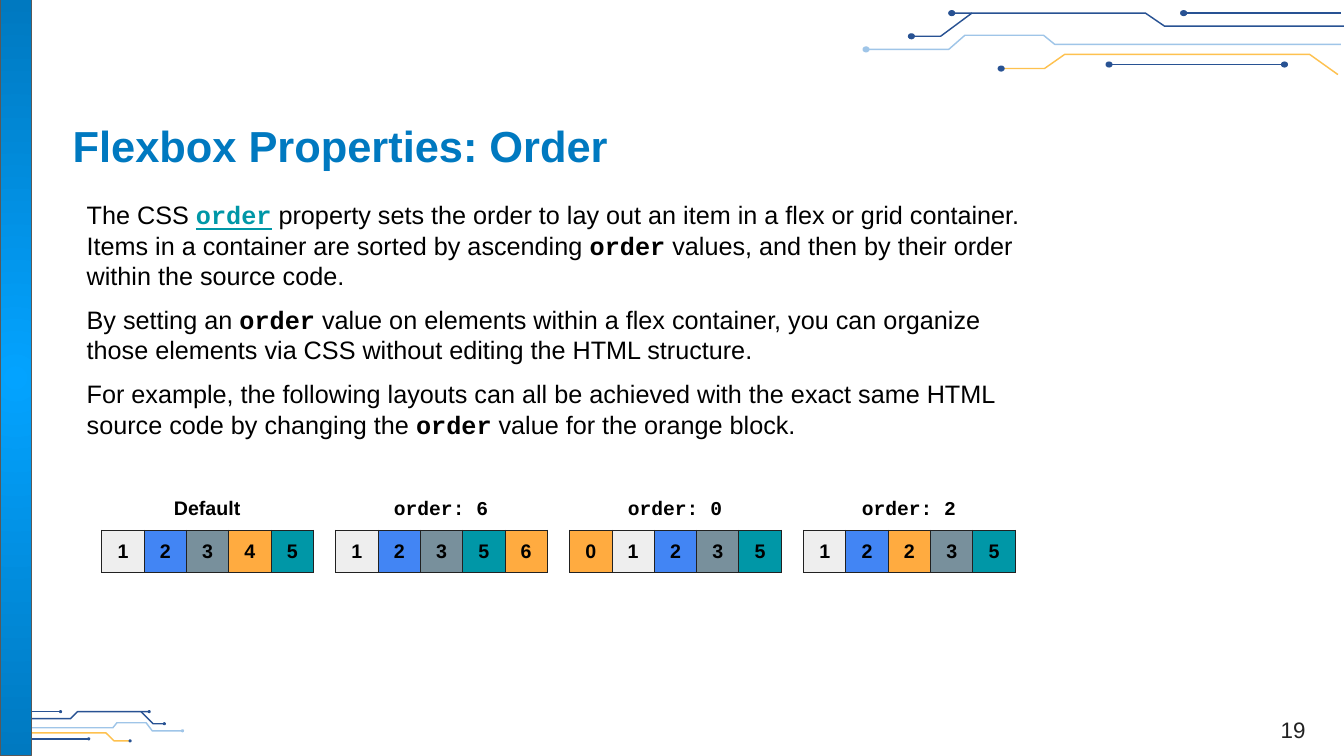
"""Build the slide that explains the flexbox order property."""
from lxml.etree import SubElement
from pptx import Presentation
from pptx.dml.color import RGBColor
from pptx.enum.shapes import MSO_CONNECTOR as Connector, MSO_SHAPE as Shape
from pptx.enum.text import MSO_ANCHOR as Anchor, MSO_AUTO_SIZE as AutoSize, PP_ALIGN as Align
from pptx.oxml.ns import qn
from pptx.util import Inches, Pt

NAVY = RGBColor(0x28, 0x52, 0x93)
SKY = RGBColor(0x9F, 0xC5, 0xE8)
YELLOW = RGBColor(0xFE, 0xC1, 0x4F)
BRIGHT_BLUE = RGBColor(0x03, 0xA3, 0xFF)
TITLE_BLUE = RGBColor(0x00, 0x79, 0xC0)
BAR_LINE = RGBColor(0x59, 0x59, 0x59)
BLACK = RGBColor(0x00, 0x00, 0x00)
CHARCOAL = RGBColor(0x22, 0x22, 0x22)
PALE_GREY = RGBColor(0xEE, 0xEE, 0xEE)
BLUE = RGBColor(0x42, 0x85, 0xF4)
SLATE = RGBColor(0x78, 0x90, 0x9C)
ORANGE = RGBColor(0xFF, 0xAB, 0x40)
TEAL = RGBColor(0x00, 0x97, 0xA7)
BORDER_HEX = "212121"
SANS, MONO = "Arial", "Courier New"

TRACES = [
    (NAVY, [(0.04, 7.13), (0.7, 7.13), (0.77, 7.06), (1.48, 7.06)]),
    (NAVY, [(1.4, 7.06), (1.52, 7.18), (1.63, 7.18)]),
    (NAVY, [(0, 7.06), (0.6, 7.06)]),
    (YELLOW, [(0.01, 7.38), (0.12, 7.27), (1.05, 7.27), (1.13, 7.35), (1.29, 7.35)]),
    (NAVY, [(0.21, 7.33), (0.88, 7.33)]),
    (SKY, [(0.08, 7.22), (1.12, 7.22), (1.16, 7.17), (1.45, 7.17), (1.51, 7.25), (1.81, 7.25)]),
    (NAVY, [(13.33, 0.26), (11.55, 0.26), (11.36, 0.13), (9.44, 0.13)]),
    (NAVY, [(9.64, 0.13), (9.33, 0.36), (9.04, 0.36)]),
    (NAVY, [(13.3, 0.13), (11.74, 0.13)]),
    (YELLOW, [(13.27, 0.74), (12.99, 0.54), (10.56, 0.54), (10.36, 0.68), (9.93, 0.68)]),
    (NAVY, [(12.74, 0.64), (11, 0.64)]),
    (SKY, [(13.3, 0.44), (10.46, 0.44), (10.35, 0.35), (9.57, 0.35), (9.41, 0.49), (8.59, 0.49)]),
]
SMALL_DOTS = [(NAVY, 1.48, 7.06), (NAVY, 1.63, 7.18), (NAVY, 0.6, 7.06), (NAVY, 1.29, 7.35),
              (NAVY, 0.21, 7.33), (NAVY, 0.88, 7.33), (SKY, 1.81, 7.25)]
LARGE_DOTS = [(SKY, 8.59, 0.49), (NAVY, 9.44, 0.13), (NAVY, 9.04, 0.36), (NAVY, 11.74, 0.13),
              (NAVY, 9.93, 0.68), (NAVY, 12.74, 0.64), (NAVY, 11, 0.64)]

BODY = [
    "The CSS `order` property sets the order to lay out an item in a flex or grid container. "
    "Items in a container are sorted by ascending `order` values, and then by their order "
    "within the source code.",
    "By setting an `order` value on elements within a flex container, you can organize "
    "those elements via CSS without editing the HTML structure.",
    "For example, the following layouts can all be achieved with the exact same HTML "
    "source code by changing the `order` value for the orange block.",
]
FIXED_BLOCKS = [(1, PALE_GREY), (2, BLUE), (3, SLATE), (5, TEAL)]
LAYOUTS = [("Default", SANS, 4), ("order: 6", MONO, 6), ("order: 0", MONO, 0), ("order: 2", MONO, 2)]


def place(shape, left, top, width, height):
    """Move and size a shape, in inches."""
    shape.left, shape.top = Inches(left), Inches(top)
    shape.width, shape.height = Inches(width), Inches(height)


def style_font(font, name, size, color, bold=False):
    """Set the face, size, colour and weight of a font."""
    font.name, font.size, font.bold = name, Pt(size), bold
    font.color.rgb = color


def set_frame(frame, anchor, vertical_margin=0.1):
    """Wrap a text frame and set its anchor and margins."""
    frame.word_wrap = True
    frame.auto_size = AutoSize.NONE
    frame.vertical_anchor = anchor
    frame.margin_left = frame.margin_right = Inches(0.1)
    frame.margin_top = frame.margin_bottom = Inches(vertical_margin)


def add_label(slide, text, box, anchor, font, vertical_margin=0.1):
    """Add a centred one-line text box."""
    shape = slide.shapes.add_textbox(*map(Inches, box))
    set_frame(shape.text_frame, anchor, vertical_margin)
    paragraph = shape.text_frame.paragraphs[0]
    paragraph.text = text
    paragraph.alignment = Align.CENTER
    style_font(paragraph.font, *font)


def add_trace(slide, color, points):
    """Draw one circuit trace through the given points."""
    corners = [(Inches(x), Inches(y)) for x, y in points]
    if len(corners) == 2:
        trace = slide.shapes.add_connector(Connector.STRAIGHT, *corners[0], *corners[1])
        SubElement(trace.element.spPr, qn("a:effectLst"))
    else:
        builder = slide.shapes.build_freeform(*corners[0])
        builder.add_line_segments(corners[1:], close=False)
        trace = builder.convert_to_shape()
        trace.fill.background()
        trace.shadow.inherit = False
    trace.line.color.rgb = color
    trace.line.width = Pt(1.03)


def add_dot(slide, color, x, y, width, height):
    """Draw a trace end centred on a point."""
    dot = slide.shapes.add_shape(Shape.OVAL, Inches(x - width / 2), Inches(y - height / 2),
                                 Inches(width), Inches(height))
    dot.shadow.inherit = False
    dot.fill.solid()
    dot.fill.fore_color.rgb = dot.line.color.rgb = color
    dot.line.width = Pt(0.75)


def add_side_bar(slide):
    """Draw the left bar with a gradient from its centre."""
    bar = slide.shapes.add_shape(Shape.RECTANGLE, 0, 0, Inches(0.31), Inches(7.5))
    bar.shadow.inherit = False
    bar.line.color.rgb = BAR_LINE
    bar.line.width = Pt(0.75)
    bar.fill.gradient()
    for stop, color in zip(bar.fill.gradient_stops, (BRIGHT_BLUE, TITLE_BLUE)):
        stop.color.rgb = color
    linear = bar.element.find(".//" + qn("a:lin"))
    gradient = linear.getparent()
    gradient.remove(linear)
    radial = SubElement(gradient, qn("a:path"), path="circle")
    SubElement(radial, qn("a:fillToRect"), l="50000", t="50000", r="50000", b="50000")


def fill_title(title):
    """Write the slide title."""
    place(title, 0.62, 1.06, 11.84, 0.77)
    set_frame(title.text_frame, Anchor.MIDDLE)
    paragraph = title.text_frame.paragraphs[0]
    paragraph.text = "Flexbox Properties: Order"
    paragraph.alignment = Align.LEFT
    style_font(paragraph.font, SANS, 31, TITLE_BLUE, True)


def fill_body(body):
    """Write the explanation, with code words between backticks."""
    place(body, 0.76, 1.88, 9.54, 2.69)
    frame = body.text_frame
    set_frame(frame, Anchor.TOP)
    for index, text in enumerate(BODY):
        paragraph = frame.add_paragraph() if index else frame.paragraphs[0]
        properties = paragraph._p.get_or_add_pPr()
        properties.set("marL", "0")
        properties.set("indent", "0")
        SubElement(properties, qn("a:buNone"))
        paragraph.space_before = Pt(10 if index else 0)
        style_font(paragraph.font, SANS, 18, BLACK)
        for position, piece in enumerate(text.split("`")):
            run = paragraph.add_run()
            run.text = piece
            if position % 2:
                run.font.name, run.font.bold = MONO, True
    keyword = frame.paragraphs[0].runs[1]
    keyword.font.color.rgb = TEAL
    keyword.font.underline = True


def style_cell(cell, value, color):
    """Fill one numbered block and outline it."""
    cell.fill.solid()
    cell.fill.fore_color.rgb = color
    cell.vertical_anchor = Anchor.MIDDLE
    cell.margin_left = cell.margin_right = cell.margin_top = cell.margin_bottom = Inches(0.1)
    paragraph = cell.text_frame.paragraphs[0]
    paragraph.text = str(value)
    paragraph.alignment = Align.CENTER
    style_font(paragraph.font, SANS, 14, BLACK, True)
    properties = cell._tc.get_or_add_tcPr()
    for index, side in enumerate(("a:lnL", "a:lnR", "a:lnT", "a:lnB")):
        border = properties.makeelement(qn(side), {"w": str(Pt(0.75))})
        SubElement(SubElement(border, qn("a:solidFill")), qn("a:srgbClr"), val=BORDER_HEX)
        properties.insert(index, border)


def add_layout(slide, left, label, label_font, orange_order):
    """Add a captioned row of blocks sorted by order."""
    add_label(slide, label, (left, 4.82, 2.09, 0.44), Anchor.TOP, (label_font, 14, BLACK, True))
    blocks = sorted(FIXED_BLOCKS + [(orange_order, ORANGE)], key=lambda block: block[0])
    table = slide.shapes.add_table(1, len(blocks), Inches(left), Inches(5.26),
                                   Inches(2.1), Inches(0.42)).table
    table.first_row = table.horz_banding = False
    for cell, block in zip(table.iter_cells(), blocks):
        style_cell(cell, *block)


def main():
    """Build and save the slide."""
    presentation = Presentation()
    presentation.slide_width, presentation.slide_height = Inches(13.33), Inches(7.5)
    slide = presentation.slides.add_slide(presentation.slide_layouts[1])
    for trace in TRACES:
        add_trace(slide, *trace)
    for dots, width, height in ((SMALL_DOTS, 0.02, 0.02), (LARGE_DOTS, 0.06, 0.05)):
        for dot in dots:
            add_dot(slide, *dot, width, height)
    add_side_bar(slide)
    fill_title(slide.shapes.title)
    fill_body(slide.placeholders[1])
    add_label(slide, "19", (12.4, 6.83, 0.85, 0.59), Anchor.BOTTOM, (SANS, 16, CHARCOAL), 0.05)
    for index, layout in enumerate(LAYOUTS):
        add_layout(slide, 1.01 + 2.32 * index, *layout)
    presentation.save("out.pptx")


if __name__ == "__main__":
    main()
